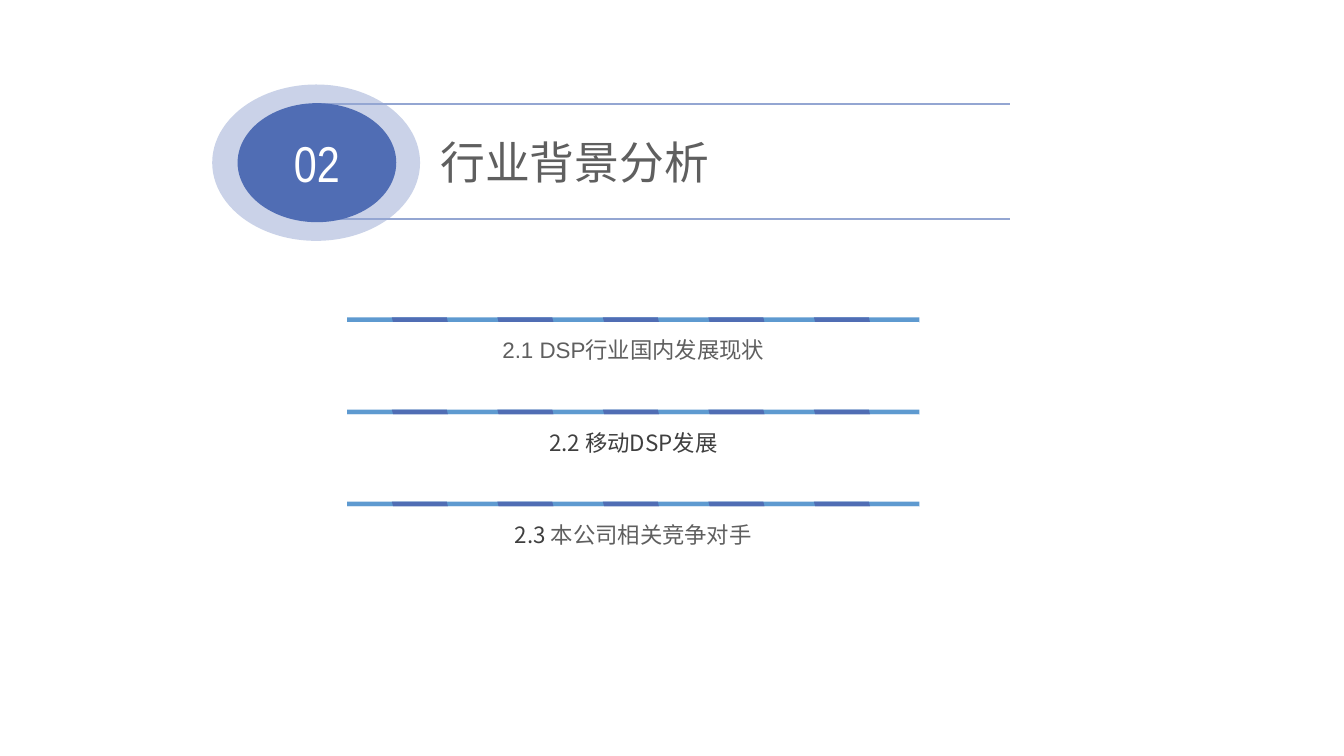
from lxml import etree
from pptx import Presentation
from pptx.dml.color import RGBColor
from pptx.enum.shapes import MSO_CONNECTOR, MSO_SHAPE
from pptx.enum.text import MSO_ANCHOR, PP_ALIGN
from pptx.oxml.ns import qn
from pptx.util import Cm, Pt

COLORS = {"blue": "506DB4", "sky": "5E9AD0", "rule": "94A6D2",
          "gray": "5F5F5F", "dark": "3F3F3F", "white": "FFFFFF"}
CJK = "Noto Sans CJK SC"


def add_shape(kind, x, y, w, h, color):
    sp = s.shapes.add_shape(kind, Cm(x), Cm(y), Cm(w), Cm(h))
    sp.shadow.inherit = False
    sp.fill.solid()
    sp.fill.fore_color.rgb = RGBColor.from_string(COLORS[color])
    sp.line.fill.background()
    return sp


def add_text(sp, text, size=16, font=CJK, color="gray", align=PP_ALIGN.CENTER):
    """Append a run to the shape's paragraph, with a CJK fallback font."""
    tf = sp.text_frame
    tf.word_wrap = True
    tf.vertical_anchor = MSO_ANCHOR.MIDDLE
    p = tf.paragraphs[0]
    p.alignment = align
    r = p.add_run()
    r.text = text
    r.font.size = Pt(size)
    r.font.name = font
    r.font.color.rgb = RGBColor.from_string(COLORS[color])
    etree.SubElement(r.font._element, qn("a:ea"), typeface=CJK)


prs = Presentation()
prs.slide_width, prs.slide_height = Cm(33.88), Cm(19.05)
s = prs.slides.add_slide(prs.slide_layouts[6])

# Section heading
halo = add_shape(MSO_SHAPE.OVAL, 5.35, 2.13, 5.24, 3.94, "blue")
halo_color = halo.fill._xPr.find(qn("a:solidFill"))[0]
etree.SubElement(halo_color, qn("a:alpha"), val="30000")

for y in (2.62, 5.52):
    rule = s.shapes.add_connector(MSO_CONNECTOR.STRAIGHT, Cm(7.95), Cm(y), Cm(25.45), Cm(y))
    rule.line.color.rgb = RGBColor.from_string(COLORS["rule"])
    rule.line.width = Pt(1)
    etree.SubElement(rule._element.spPr, qn("a:effectLst"))

title = s.shapes.add_textbox(Cm(11.1), Cm(3), Cm(14.88), Cm(2.16))
tf = title.text_frame
tf.margin_left = tf.margin_right = tf.margin_top = tf.margin_bottom = 0
add_text(title, "行业背景分析", size=32, align=PP_ALIGN.LEFT)

badge = add_shape(MSO_SHAPE.OVAL, 5.99, 2.6, 4, 3, "blue")
add_text(badge, "02", size=36, font="Arial Narrow", color="white")

# Topics, each under a striped bar
topics = [
    [("2.1 DSP行业国内发展现状", "Arial", "gray")],
    [("2.2 移动DSP发展", CJK, "dark")],
    [("2.3 ", CJK, "dark"), ("本公司相关竞争对手", "Arial", "gray")],
]
for row, runs in enumerate(topics):
    y = 8 + row * 2.32
    add_shape(MSO_SHAPE.RECTANGLE, 8.75, y, 14.43, 0.13, "sky")
    for col in range(5):
        stripe = add_shape(MSO_SHAPE.PARALLELOGRAM, 9.88 + col * 2.66, y, 1.42, 0.15, "blue")
        stripe.adjustments[0] = 0.242
        stripe._element.spPr.find(qn("a:xfrm")).set("flipH", "1")
    label = add_shape(MSO_SHAPE.RECTANGLE, 8.75, y + 0.12, 14.43, 1.4, "white")
    for text, font, color in runs:
        add_text(label, text, font=font, color=color)

prs.save("out.pptx")
